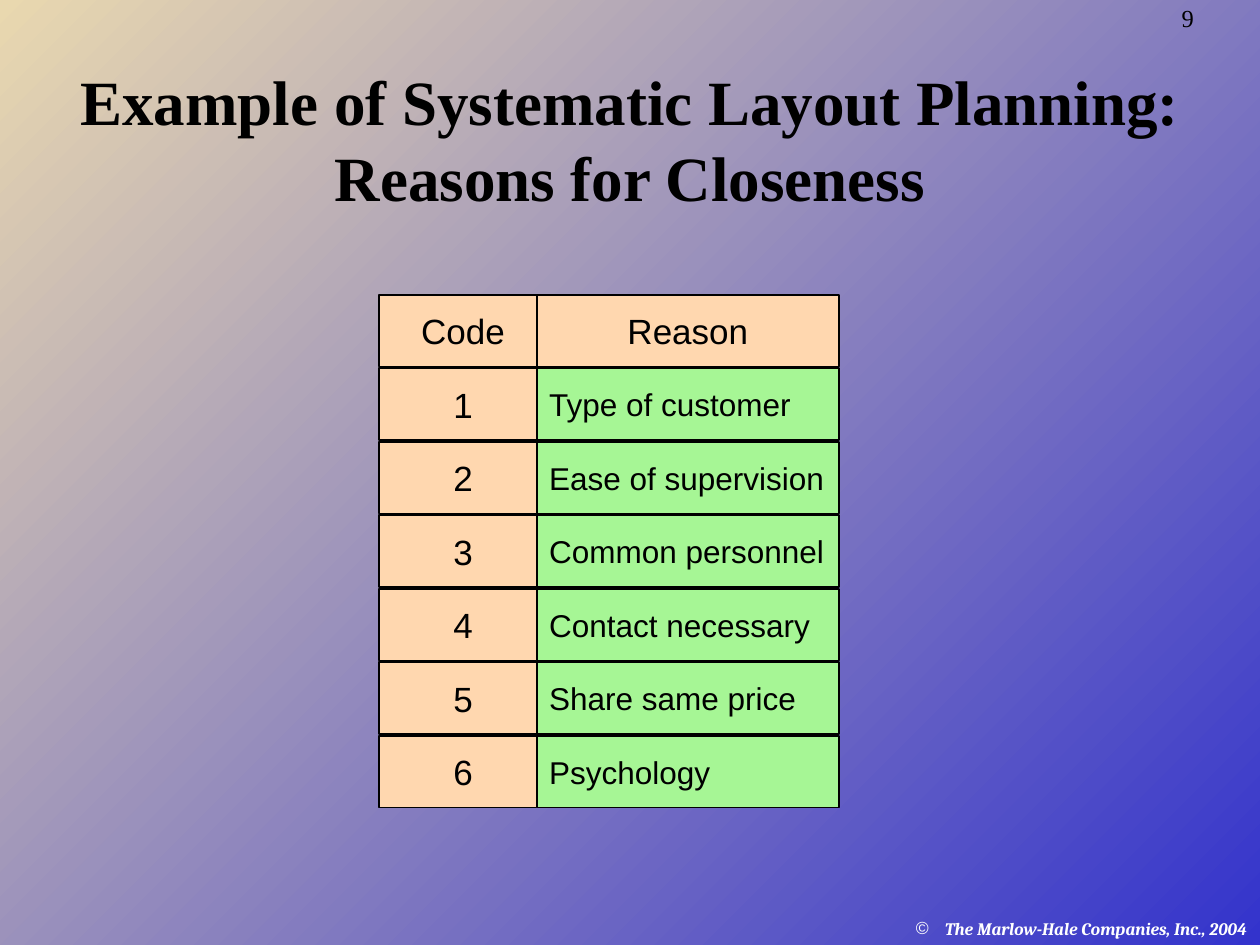
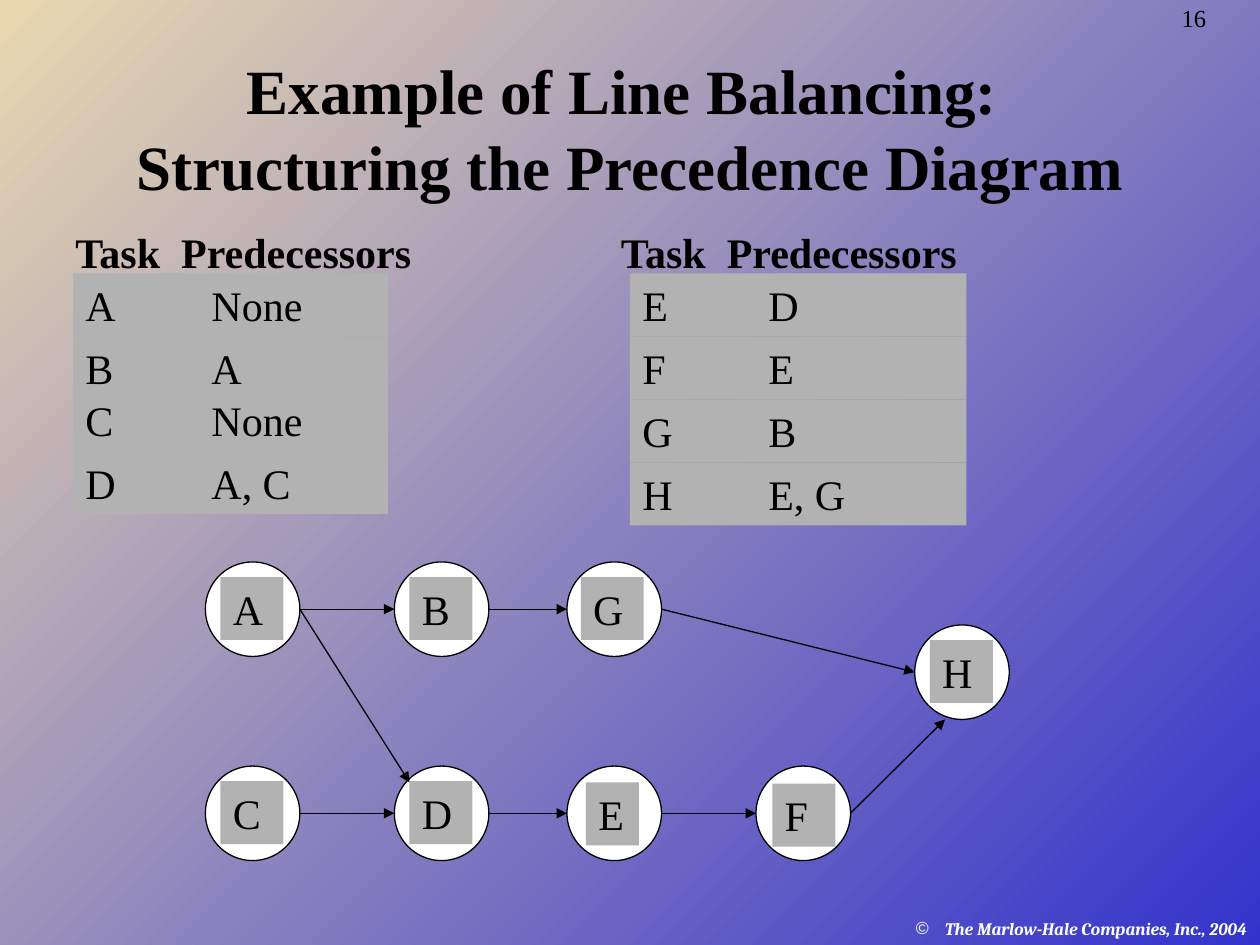
from lxml.etree import SubElement
from pptx import Presentation
from pptx.dml.color import RGBColor
from pptx.enum.shapes import MSO_CONNECTOR, MSO_SHAPE
from pptx.enum.text import MSO_ANCHOR, MSO_AUTO_SIZE, PP_ALIGN
from pptx.oxml.ns import qn
from pptx.util import Inches, Pt

BLACK, WHITE, GREY = "000000", "FFFFFF", "B2B2B2"
PEACH, GREEN = "FFD7AF", "A6F695"
BLUE, SAND = "3333CC", "E9D8AF"
SERIF, SANS, FOOTER_FONT = "Times New Roman", "Arial", "Cambria"
NODE, LABEL = 0.75, 0.5
ROW_PITCH = 3.5 / 6


def rgb(color):
    return RGBColor.from_string(color)


def add_run(p, text, size=24, font=SERIF, color=BLACK, bold=False, italic=False):
    r = p.add_run()
    r.text = text
    r.font.size = Pt(size)
    r.font.name = font
    r.font.color.rgb = rgb(color)
    r.font.bold = bold
    r.font.italic = italic


def add_tab(p, position):
    tabs = SubElement(p._p.get_or_add_pPr(), qn("a:tabLst"))
    SubElement(tabs, qn("a:tab"), pos=str(Inches(position)), algn="l")


def add_box(s, x, y, w, h):
    """Add a wrapping text box and return its first paragraph."""
    tf = s.shapes.add_textbox(Inches(x), Inches(y), Inches(w), Inches(h)).text_frame
    tf.word_wrap = True
    return tf.paragraphs[0]


def add_filled(s, kind, x, y, w, h, fill, line=None):
    """Add a preset shape; line is the outline width in points, if any."""
    sp = s.shapes.add_shape(kind, Inches(x), Inches(y), Inches(w), Inches(h))
    sp.shadow.inherit = False
    sp.fill.solid()
    sp.fill.fore_color.rgb = rgb(fill)
    if line:
        sp.line.color.rgb = rgb(BLACK)
        sp.line.width = Pt(line)
    else:
        sp.line.fill.background()
    return sp


def set_background(master):
    fill = master.background.fill
    fill.gradient()
    fill.gradient_angle = 135
    for stop, color in zip(fill.gradient_stops, (BLUE, SAND)):
        stop.color.rgb = rgb(color)


def add_footer(s):
    p = add_box(s, 7.17, 7.24, 2.83, 0.26)
    pPr = p._p.get_or_add_pPr()
    pPr.set("marL", str(Inches(0.23)))
    pPr.set("indent", str(-Inches(0.23)))
    SubElement(SubElement(pPr, qn("a:buClr")), qn("a:srgbClr"), val=WHITE)
    SubElement(pPr, qn("a:buFont"), typeface=SANS)
    SubElement(pPr, qn("a:buChar"), char="©")
    add_run(p, "The Marlow-Hale Companies, Inc., 2004", 10, FOOTER_FONT, WHITE, True, True)


def add_slide(prs, number, title_lines, top, height):
    s = prs.slides.add_slide(prs.slide_layouts[5])
    add_footer(s)
    p = add_box(s, 9.28, 0, 0.72, 0.31)
    p.line_spacing = 0.9
    add_run(p, number, 14)

    title = s.shapes.title
    title.left, title.top = Inches(0.2), Inches(top)
    title.width, title.height = Inches(9.6), Inches(height)
    tf = title.text_frame
    tf.auto_size = MSO_AUTO_SIZE.NONE
    tf.word_wrap = True
    tf.vertical_anchor = MSO_ANCHOR.BOTTOM
    p = tf.paragraphs[0]
    p.alignment = PP_ALIGN.CENTER
    for i, line in enumerate(title_lines):
        if i:
            p.add_line_break()
        add_run(p, line, 36, bold=True)
    return s


def add_reason_cell(s, column, row, text):
    x, width = ((3.01, 1.33), (4.26, 2.4))[column]
    is_reason = row > 0 and column == 1
    cell = add_filled(s, MSO_SHAPE.RECTANGLE, x, 2.34 + row * ROW_PITCH, width, 0.57,
                      GREEN if is_reason else PEACH, 1)
    tf = cell.text_frame
    tf.word_wrap = False
    tf.vertical_anchor = MSO_ANCHOR.MIDDLE
    p = tf.paragraphs[0]
    p.alignment = PP_ALIGN.LEFT if is_reason else PP_ALIGN.CENTER
    add_run(p, text, 18 if is_reason else 20, SANS)


def add_grey_text(s, x, y, width, text):
    box = add_filled(s, MSO_SHAPE.RECTANGLE, x, y, width, LABEL, GREY)
    tf = box.text_frame
    tf.vertical_anchor = MSO_ANCHOR.TOP
    p = tf.paragraphs[0]
    p.alignment = PP_ALIGN.LEFT
    p.space_before = Pt(15)
    if "\t" in text:
        add_tab(p, 1)
    add_run(p, text)


def add_task_list(s, heading_x, heading_width, x, width, tops, tasks):
    p = add_box(s, heading_x, 1.75, heading_width, 0.5)
    p.space_before = Pt(15)
    add_tab(p, 0.84)
    add_run(p, "Task\tPredecessors", bold=True)
    for top, (task, predecessors) in zip(tops, tasks):
        add_grey_text(s, x, top, width, f"{task}\t{predecessors}")


def add_arrow(s, start, end):
    line = s.shapes.add_connector(MSO_CONNECTOR.STRAIGHT,
                                  *(Inches(v) for v in (*start, *end)))
    line.line.color.rgb = rgb(BLACK)
    line.line.width = Pt(0.75)
    SubElement(line.line._get_or_add_ln(), qn("a:tailEnd"), type="triangle")
    SubElement(line._element.spPr, qn("a:effectLst"))


def build_reasons(prs):
    s = add_slide(prs, "9", ["Example of Systematic Layout Planning: Reasons for Closeness"],
                  0.5, 1.25)
    reasons = ["Reason", "Type of customer", "Ease of supervision", "Common personnel",
               "Contact necessary", "Share same price", "Psychology"]
    codes = ["Code"] + [str(i) for i in range(1, len(reasons))]
    for column, texts in enumerate((codes, reasons)):
        for row, text in enumerate(texts):
            add_reason_cell(s, column, row, text)


def build_precedence(prs):
    s = add_slide(prs, "16", ["Example of Line Balancing: ",
                              "Structuring the Precedence Diagram"], 0.58, 1.08)
    nodes = {"A": (1.63, 4.46), "B": (3.13, 4.46), "G": (4.5, 4.46), "H": (7.26, 4.96),
             "C": (1.63, 6.08), "D": (3.13, 6.08), "E": (4.5, 6.08), "F": (6, 6.08)}
    for x, y in nodes.values():
        add_filled(s, MSO_SHAPE.OVAL, x, y, NODE, NODE, WHITE, 0.75)

    special_ends = {"AD": (3.25, 6.21), "FH": (7.5, 5.71)}
    for source, target in ("AB", "AD", "CD", "BG", "DE", "GH", "EF", "FH"):
        x, y = nodes[source]
        left, top = nodes[target]
        end = special_ends.get(source + target, (left, top + NODE / 2))
        add_arrow(s, (x + NODE, y + NODE / 2), end)

    add_task_list(s, 0.5, 3, 0.58, 2.5, (2.17, 2.67, 3.08, 3.58),
                  [("A", "None"), ("B", "A"), ("C", "None"), ("D", "A, C")])
    add_task_list(s, 4.83, 2.92, 5, 2.67, (2.17, 2.67, 3.17, 3.67),
                  [("E", "D"), ("F", "E"), ("G", "B"), ("H", "E, G")])

    label_offsets = {"E": (0.15, 0.13), "F": (0.13, 0.14), "G": (0.11, 0.12)}
    for name, (x, y) in nodes.items():
        dx, dy = label_offsets.get(name, (0.12, 0.12))
        add_grey_text(s, x + dx, y + dy, 0.42 if name == "E" else LABEL, name)


def main():
    prs = Presentation()
    prs.slide_width, prs.slide_height = Inches(10), Inches(7.5)
    set_background(prs.slide_master)
    build_reasons(prs)
    build_precedence(prs)
    prs.save("out.pptx")


if __name__ == "__main__":
    main()
